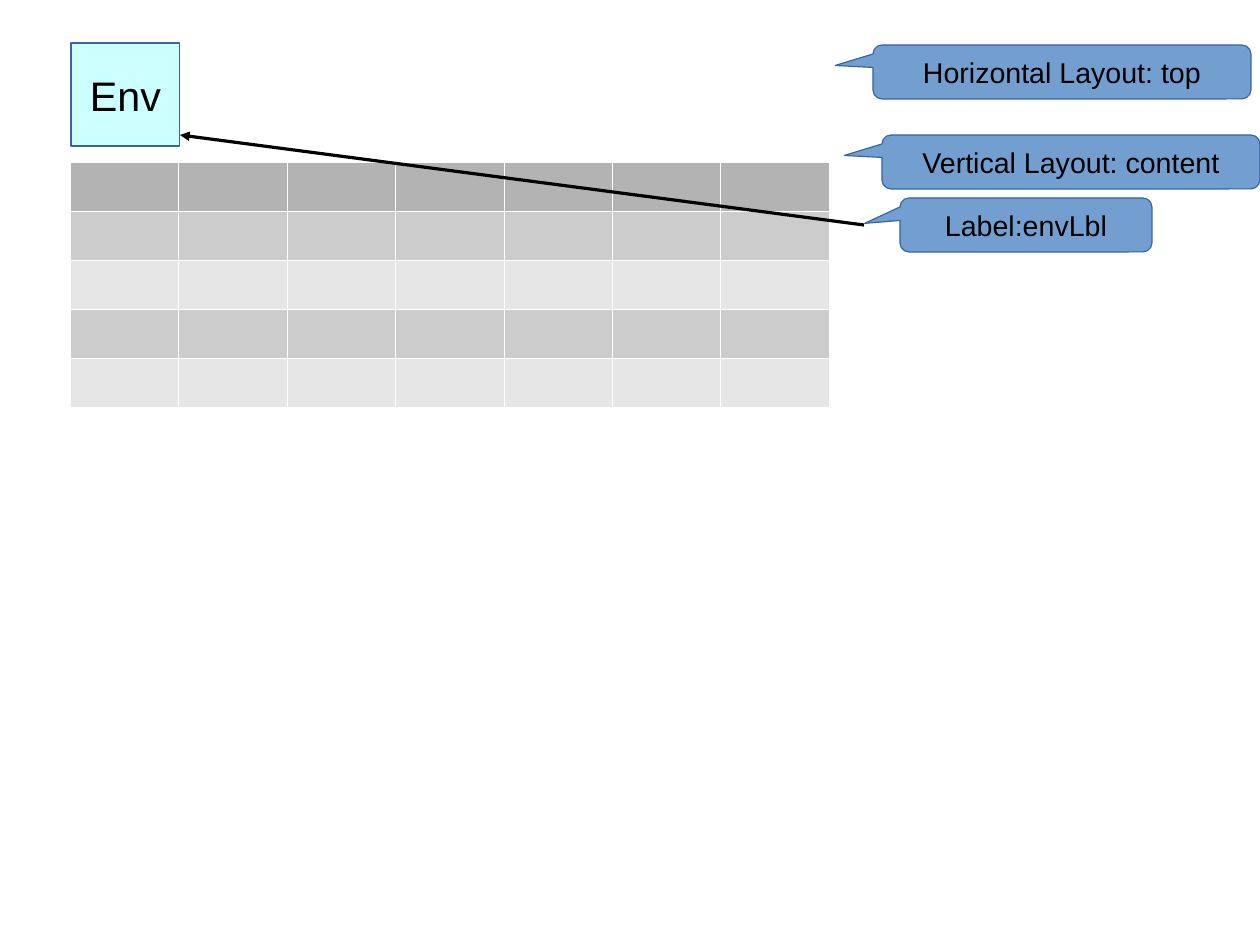
from pptx import Presentation
from pptx import util as u
from pptx.dml.color import RGBColor
from pptx.enum import shapes, text
from pptx.oxml import parse_xml
from pptx.oxml.ns import nsdecls
from pptx.oxml.xmlchemy import OxmlElement

# Content: box is left, top, width, height in px
SIZE = (1260, 945)
FONT = "Arial"
COLORS = {
    "callout": "729FCF", "outline": "3465A4", "env": "CCFFFF",
    "ink": "000000", "border": "FFFFFF",
    "header": "B3B3B3", "odd": "CCCCCC", "even": "E6E6E6",
}
CALLOUTS = [
    ("Vertical Layout: content", (882, 135, 378, 54), (-0.6, -0.12)),
    ("Horizontal Layout: top", (873, 45, 378, 54), (-0.6, -0.12)),
    ("Label:envLbl", (900, 198, 252, 54), (-0.64, -0.03)),
]
ENV = ("Env", (71, 43, 109, 103))
GRID = (70, 162, 759, 245)
ROWS = ["header", "odd", "even", "odd", "even"]
COLUMNS = 7
ARROW = ((864, 225), (180, 135))
PX = 8000


def px(values):
    return [u.Emu(value * PX) for value in values]


def color(name):
    return RGBColor.from_string(COLORS[name])


def add_label(page, kind, words, box, fill, size):
    shape = page.shapes.add_shape(kind, *px(box))
    shape.shadow.inherit = False
    shape.fill.solid()
    shape.fill.fore_color.rgb = color(fill)
    shape.line.color.rgb = color("outline")
    shape.line.width = u.Pt(0)
    frame = shape.text_frame
    frame.word_wrap = False
    frame.vertical_anchor = text.MSO_ANCHOR.MIDDLE
    para = frame.paragraphs[0]
    para.text = words
    para.alignment = text.PP_ALIGN.CENTER
    para.font.name = FONT
    para.font.size = u.Pt(size)
    para.font.color.rgb = color("ink")
    return shape


def set_borders(cell):
    for side in ("lnL", "lnR", "lnT", "lnB"):
        cell._tc.get_or_add_tcPr().append(parse_xml(
            f'<a:{side} {nsdecls("a")} w="762"><a:solidFill>'
            f'<a:srgbClr val="{COLORS["border"]}"/></a:solidFill></a:{side}>'))


deck = Presentation()
deck.slide_width, deck.slide_height = px(SIZE)
page = deck.slides.add_slide(deck.slide_layouts[6])

# Callouts and environment box
for words, box, tip in CALLOUTS:
    callout = add_label(page, shapes.MSO_SHAPE.ROUNDED_RECTANGULAR_CALLOUT,
                        words, box, "callout", 18)
    callout.adjustments[0], callout.adjustments[1] = tip

env = add_label(page, shapes.MSO_SHAPE.RECTANGLE, *ENV, "env", 26)
frame = env.text_frame
frame.margin_left = frame.margin_right = frame.margin_top = frame.margin_bottom = 0

# Empty content table
table = page.shapes.add_table(len(ROWS), COLUMNS, *px(GRID)).table
for row, shade in zip(table.rows, ROWS):
    for cell in row.cells:
        set_borders(cell)
        cell.fill.solid()
        cell.fill.fore_color.rgb = color(shade)

# Arrow from the label callout to the environment box
start, end = ARROW
arrow = page.shapes.add_connector(shapes.MSO_CONNECTOR.STRAIGHT,
                                  *px(start), *px(end))
arrow.line.color.rgb = color("ink")
arrow.line.width = u.Pt(0)
head = OxmlElement("a:tailEnd")
head.set("type", "triangle")
arrow.line._get_or_add_ln().append(head)
arrow._element.spPr.append(OxmlElement("a:effectLst"))

deck.save("out.pptx")
